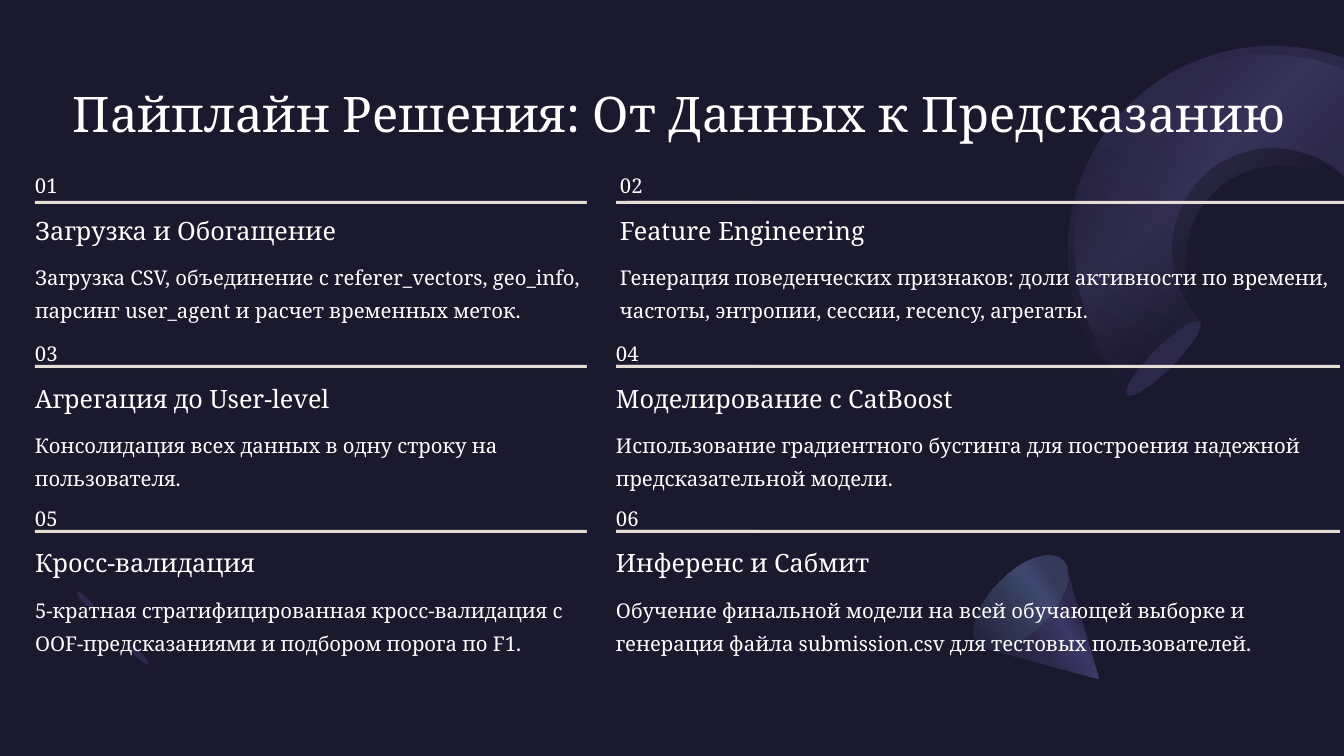
from dataclasses import dataclass

from lxml import etree
from pptx import Presentation
from pptx import util as u
from pptx.dml.color import RGBColor
from pptx.enum import shapes, text
from pptx.oxml import ns

SLIDE_WIDTH, SLIDE_HEIGHT = 1344, 756
EMU_PER_PX = 12192000 / SLIDE_WIDTH

NIGHT = RGBColor(0x1B, 0x19, 0x2E)
INDIGO = RGBColor(0x2C, 0x28, 0x4A)
VIOLET = RGBColor(0x3C, 0x38, 0x67)
PURPLE = RGBColor(0x45, 0x40, 0x75)
LAVENDER = RGBColor(0x77, 0x71, 0xB2)
MINT = RGBColor(0x5B, 0xEF, 0xC1)
SAND = RGBColor(0xE6, 0xDE, 0xD2)
WHITE = RGBColor(0xFF, 0xFF, 0xFF)
FONT = "Noto Serif"
RULE_WIDTH, RULE_HEIGHT = 724, 3


@dataclass(frozen=True)
class TextStyle:
    size: float
    spacing: float
    wrap: bool = True


@dataclass(frozen=True)
class Row:
    number_top: int
    rule_top: int
    heading_top: int
    body_top: int


@dataclass(frozen=True)
class Step:
    heading: str
    heading_width: int
    body: str
    body_width: int
    indent: int = 0


@dataclass(frozen=True)
class Stop:
    position: int
    color: RGBColor
    alpha: int = 100


@dataclass(frozen=True)
class Box:
    left: int
    top: int
    width: int
    height: int
    rotation: int = 0


TITLE = TextStyle(35, 36.5)
NUMBER = TextStyle(14.5, 23.5, wrap=False)
HEADING = TextStyle(18, 23, wrap=False)
BODY = TextStyle(14.5, 23.5)

ROWS = [Row(165, 201, 213, 257), Row(333, 365, 381, 425), Row(498, 530, 545, 590)]
COLUMN_LEFTS = [35, 616]
STEPS = [
    Step("Загрузка и Обогащение", 296,
         "Загрузка CSV, объединение с referer_vectors, geo_info, "
         "парсинг user_agent и расчет временных меток.", 583),
    Step("Feature Engineering", 258,
         "Генерация поведенческих признаков: доли активности по времени, "
         "частоты, энтропии, сессии, recency, агрегаты.", 724, indent=4),
    Step("Агрегация до User-level", 307,
         "Консолидация всех данных в одну строку на пользователя.", 551),
    Step("Моделирование с CatBoost", 348,
         "Использование градиентного бустинга для построения надежной "
         "предсказательной модели.", 724),
    Step("Кросс-валидация", 258,
         "5-кратная стратифицированная кросс-валидация с "
         "OOF-предсказаниями и подбором порога по F1.", 548),
    Step("Инференс и Сабмит", 261,
         "Обучение финальной модели на всей обучающей выборке и "
         "генерация файла submission.csv для тестовых пользователей.", 724),
]

# Outlines: a pair is a line end, six numbers are a Bezier segment
Outline = list[tuple[int, ...]]
RING = [(1128, 395), (1048, 316, 1048, 185, 1128, 106),
        (1183, 51, 1261, 34, 1332, 54), (1344, 58), (1344, 176), (1330, 165),
        (1289, 139, 1235, 143, 1201, 178), (1162, 218, 1162, 282, 1201, 322)]
RING_SHEEN = [(1153, 421), (1059, 329, 1048, 188, 1128, 108),
              (1178, 58, 1252, 44, 1322, 62), (1343, 70), (1343, 183), (1341, 183),
              (1297, 158, 1245, 160, 1213, 193), (1173, 233, 1178, 302, 1225, 350)]
CONE = [(1099, 679), (985, 648), (984, 648), (982, 647, 979, 646, 977, 644),
        (968, 633, 977, 605, 1000, 582), (1023, 558, 1051, 548, 1063, 560),
        (1064, 561, 1065, 563, 1066, 565)]
ARC = [(77, 664), (56, 644, 56, 612, 77, 592), (95, 610), (85, 620, 85, 636, 95, 646),
       (104, 656, 121, 656, 130, 646), (148, 664), (129, 684, 96, 684, 77, 664)]
ARC_SHEEN = [(77, 664), (56, 644, 58, 610, 82, 587), (100, 605),
             (88, 616, 87, 634, 97, 643), (107, 653, 124, 652, 136, 641),
             (153, 659), (131, 681, 96, 684, 77, 664)]
RING_CAP = Box(1152, 307, 23, 103, 225)
ARC_CAPS = [Box(136, 642, 6, 26, 135), Box(83, 588, 6, 26, 135)]
CONE_BASE = Box(991, 543, 59, 119, 225)
COLUMN_GAP = Box(587, 166, 29, 553)


def px(value: float) -> u.Emu:
    return u.Emu(round(value * EMU_PER_PX))


def set_gradient(shape, stops: list[Stop], angle: int) -> None:
    shape.fill.background()
    properties = shape._element.spPr
    gradient = etree.Element(ns.qn("a:gradFill"), rotWithShape="1")
    stop_list = etree.SubElement(gradient, ns.qn("a:gsLst"))
    for stop in stops:
        item = etree.SubElement(stop_list, ns.qn("a:gs"), pos=str(stop.position * 1000))
        color = etree.SubElement(item, ns.qn("a:srgbClr"), val=str(stop.color))
        etree.SubElement(color, ns.qn("a:alpha"), val=str(stop.alpha * 1000))
    etree.SubElement(gradient, ns.qn("a:lin"), ang=str(angle * 60000), scaled="0")
    properties.replace(properties.find(ns.qn("a:noFill")), gradient)


def set_solid(shape, color: RGBColor) -> None:
    shape.fill.solid()
    shape.fill.fore_color.rgb = color


def finish(shape):
    shape.shadow.inherit = False
    shape.line.fill.background()
    return shape


def add_outline(slide, outline: Outline):
    points = [segment[i:i + 2] for segment in outline for i in range(0, len(segment), 2)]
    builder = slide.shapes.build_freeform(*points[0], scale=EMU_PER_PX)
    builder.add_line_segments(points[1:], close=True)
    shape = finish(builder.convert_to_shape())
    # Join each run of three control points into one curve
    lines = iter(list(shape._element.iter(ns.qn("a:lnTo"))))
    for segment in outline[1:]:
        group = [next(lines) for _ in range(len(segment) // 2)]
        if len(group) == 3:
            curve = etree.Element(ns.qn("a:cubicBezTo"))
            group[0].addprevious(curve)
            for line in group:
                curve.append(line[0])
                line.getparent().remove(line)
    return shape


def add_preset(slide, kind, box: Box, color: RGBColor):
    shape = finish(slide.shapes.add_shape(kind, px(box.left), px(box.top),
                                          px(box.width), px(box.height)))
    shape.rotation = box.rotation
    set_solid(shape, color)
    return shape


def add_rule(slide, left: int, top: int) -> None:
    add_preset(slide, shapes.MSO_SHAPE.RECTANGLE,
               Box(left, top, RULE_WIDTH, RULE_HEIGHT), SAND)


def write(shape, content: str, style: TextStyle) -> None:
    frame = shape.text_frame
    paragraph = frame.paragraphs[0]
    paragraph.text = content
    font = paragraph.runs[0].font
    formats = (
        (frame, dict(margin_left=0, margin_top=0, margin_right=0, margin_bottom=0,
                     word_wrap=style.wrap, auto_size=text.MSO_AUTO_SIZE.NONE,
                     vertical_anchor=text.MSO_ANCHOR.TOP)),
        (paragraph, dict(alignment=text.PP_ALIGN.LEFT, line_spacing=u.Pt(style.spacing))),
        (font, dict(name=FONT, size=u.Pt(style.size))),
    )
    for target, values in formats:
        for name, value in values.items():
            setattr(target, name, value)
    font.color.rgb = WHITE


def add_label(slide, box: Box, content: str, style: TextStyle) -> None:
    write(slide.shapes.add_textbox(px(box.left), px(box.top), px(box.width),
                                   px(box.height)), content, style)


def add_decoration(slide) -> None:
    oval = shapes.MSO_SHAPE.OVAL
    set_gradient(add_outline(slide, RING), [Stop(31, INDIGO), Stop(97, NIGHT)], 115)
    set_gradient(add_outline(slide, RING_SHEEN), [
        Stop(25, LAVENDER, 0), Stop(42, LAVENDER, 15), Stop(60, LAVENDER, 0)], 45)
    add_preset(slide, oval, RING_CAP, INDIGO)
    set_gradient(add_outline(slide, CONE), [Stop(30, INDIGO), Stop(40, VIOLET),
                                            Stop(60, INDIGO), Stop(100, NIGHT)], 145)
    set_gradient(add_preset(slide, oval, CONE_BASE, PURPLE),
                 [Stop(0, PURPLE, 33), Stop(100, MINT, 0)], 270)
    set_solid(add_outline(slide, ARC), NIGHT)
    for cap in ARC_CAPS:
        add_preset(slide, oval, cap, INDIGO)
    set_gradient(add_outline(slide, ARC_SHEEN),
                 [Stop(0, LAVENDER, 2), Stop(100, LAVENDER, 0)], 45)


def add_step(slide, number: int, step: Step, row: Row, column_left: int) -> None:
    left = column_left + step.indent
    add_label(slide, Box(left, row.number_top, 20, 26), f"{number:02d}", NUMBER)
    add_label(slide, Box(left, row.heading_top, step.heading_width, 32), step.heading, HEADING)
    add_label(slide, Box(left, row.body_top, step.body_width, 66), step.body, BODY)


def main() -> None:
    presentation = Presentation()
    presentation.slide_width, presentation.slide_height = px(SLIDE_WIDTH), px(SLIDE_HEIGHT)
    slide = presentation.slides.add_slide(presentation.slide_layouts[5])
    set_solid(slide.background, NIGHT)

    # Background ornaments, kept behind the title
    add_decoration(slide)
    title = slide.shapes.title
    slide.shapes._spTree.append(title._element)
    for name, value in dict(left=73, top=91, width=1372, height=160).items():
        setattr(title, name, px(value))
    write(title, "Пайплайн Решения: От Данных к Предсказанию", TITLE)

    # Pipeline steps, two per row
    for index, step in enumerate(STEPS):
        row, column = divmod(index, len(COLUMN_LEFTS))
        if index != 1:
            add_rule(slide, COLUMN_LEFTS[column], ROWS[row].rule_top)
        add_step(slide, index + 1, step, ROWS[row], COLUMN_LEFTS[column])

    # Gap between the columns, then the rule of the second step
    add_preset(slide, shapes.MSO_SHAPE.RECTANGLE, COLUMN_GAP, NIGHT)
    add_rule(slide, 626, ROWS[0].rule_top)
    presentation.save("out.pptx")


if __name__ == "__main__":
    main()
